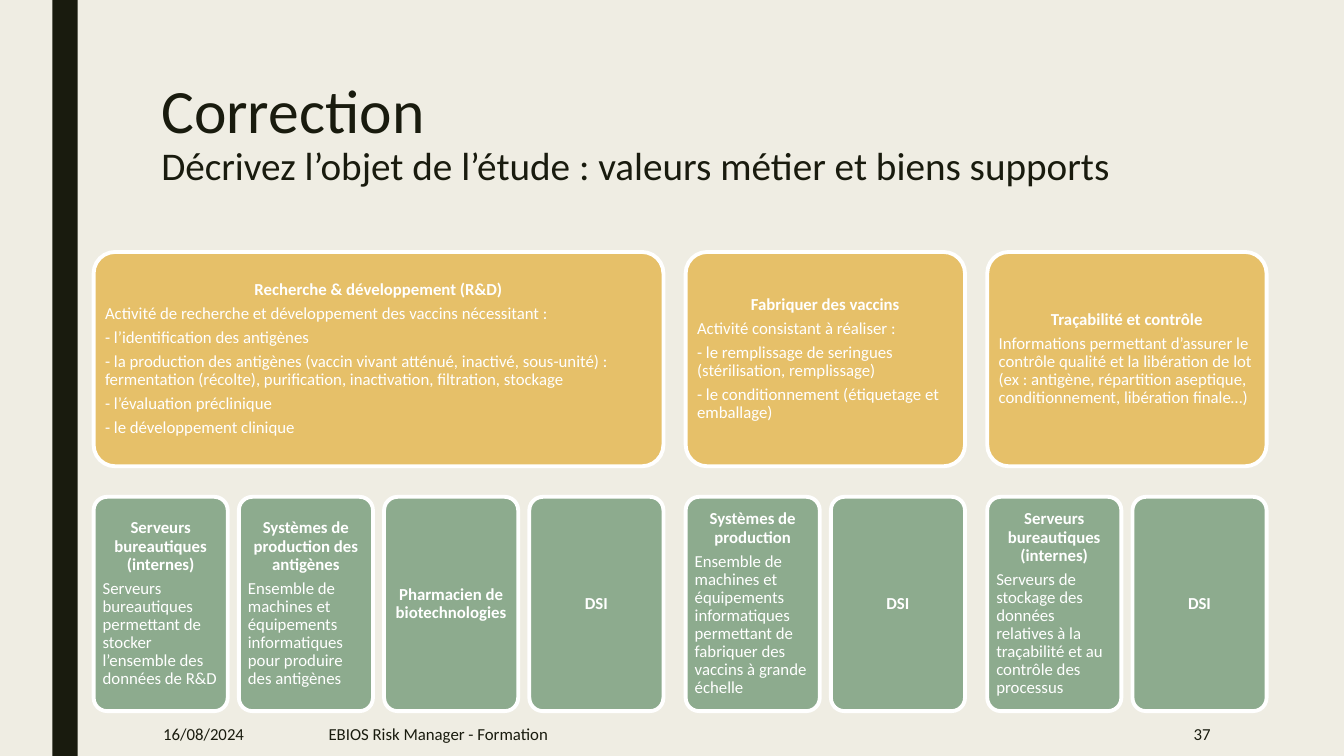
from lxml import etree
from pptx import Presentation
from pptx.dml.color import RGBColor
from pptx.enum import shapes, text
from pptx.oxml.ns import qn
from pptx.util import Cm, Pt

INK = RGBColor(0x19, 0x1B, 0x0E)
PAPER = RGBColor(0xEF, 0xED, 0xE3)
GOLD = RGBColor(0xE6, 0xC0, 0x69)
GREEN = RGBColor(0x8D, 0xAB, 0x8E)
WHITE = RGBColor(0xFF, 0xFF, 0xFF)
LEFT, CENTER, RIGHT = text.PP_ALIGN.LEFT, text.PP_ALIGN.CENTER, text.PP_ALIGN.RIGHT
TOP, MIDDLE = text.MSO_ANCHOR.TOP, text.MSO_ANCHOR.MIDDLE

GRID_LEFT, CARD_W, PITCH, GROUP_GAP = 2.36, 3.38, 3.66, 0.28
VALUE_TOP, ASSET_TOP, CARD_H = 6.35, 12.52, 5.4

DSI = ["DSI"]
GROUPS = [
    (["Recherche & développement (R&D)",
      "Activité de recherche et développement des vaccins nécessitant :",
      "- l’identification des antigènes",
      "- la production des antigènes (vaccin vivant atténué, inactivé, sous-unité) : "
      "fermentation (récolte), purification, inactivation, filtration, stockage",
      "- l’évaluation préclinique",
      "- le développement clinique"],
     [["Serveurs bureautiques (internes)",
       "Serveurs bureautiques permettant de stocker l’ensemble des données de R&D"],
      ["Systèmes de production des antigènes",
       "Ensemble de machines et équipements informatiques pour produire des antigènes"],
      ["Pharmacien de biotechnologies"],
      DSI]),
    (["Fabriquer des vaccins",
      "Activité consistant à réaliser :",
      "- le remplissage de seringues (stérilisation, remplissage)",
      "- le conditionnement (étiquetage et emballage)"],
     [["Systèmes de production",
       "Ensemble de machines et équipements informatiques permettant de fabriquer "
       "des vaccins à grande échelle"],
      DSI]),
    (["Traçabilité et contrôle",
      "Informations permettant d’assurer le contrôle qualité et la libération de lot "
      "(ex : antigène, répartition aseptique, conditionnement, libération finale…)"],
     [["Serveurs bureautiques\n(internes)",
       "Serveurs de stockage des données relatives à la traçabilité et au contrôle "
       "des processus"],
      DSI]),
]
FOOTERS = [
    (3.86, 3.35, "16/08/2024", LEFT),
    (8.03, 17.45, "EBIOS Risk Manager - Formation", LEFT),
    (26.31, 4.45, "37", RIGHT),
]


class Deck:
    font = "Calibri"
    size = 12

    def __init__(self):
        self.prs = Presentation()
        self.prs.slide_width, self.prs.slide_height = Cm(33.87), Cm(19.05)
        self.s = self.prs.slides.add_slide(self.prs.slide_layouts[5])
        self.paint(self.s.background.fill, PAPER)

    def paint(self, fill, color):
        fill.solid()
        fill.fore_color.rgb = color

    def assign(self, target, values):
        for name, value in values.items():
            setattr(target, name, value)

    def style(self, r, color, size, bold=False):
        self.assign(r.font, {"name": self.font, "size": Pt(size), "bold": bold})
        r.font.color.rgb = color

    def paragraph(self, p, words, color, bold=False, **layout):
        p.text = words
        self.assign(p, layout)
        for r in p.runs:
            self.style(r, color, self.size, bold)
        for br in p._p.findall(qn("a:br")):
            etree.SubElement(br, qn("a:rPr"), sz=str(self.size * 100))

    def title(self, left, top, width, height, lines):
        sp = self.s.shapes.title
        self.assign(sp, {"left": Cm(left), "top": Cm(top),
                         "width": Cm(width), "height": Cm(height)})
        tf = sp.text_frame
        self.assign(tf, {"word_wrap": True, "vertical_anchor": TOP,
                         "auto_size": text.MSO_AUTO_SIZE.NONE})
        p = tf.paragraphs[0]
        self.assign(p, {"alignment": LEFT, "line_spacing": 0.89})
        for i, (words, size) in enumerate(lines):
            if i:
                p.add_line_break()
            r = p.add_run()
            r.text = words
            self.style(r, INK, size)

    def shape(self, kind, left, top, width, height, color):
        sp = self.s.shapes.add_shape(kind, Cm(left), Cm(top), Cm(width), Cm(height))
        sp.shadow.inherit = False
        self.paint(sp.fill, color)
        return sp

    def bar(self, left, top, width, height):
        sp = self.shape(shapes.MSO_SHAPE.RECTANGLE, left, top, width, height, INK)
        sp.line.fill.background()

    def card(self, left, top, width, color, paragraphs):
        sp = self.shape(shapes.MSO_SHAPE.ROUNDED_RECTANGLE, left, top, width, CARD_H, color)
        sp.adjustments[0] = 0.1
        sp.line.color.rgb = WHITE
        sp.line.width = Pt(2.75)
        tf = sp.text_frame
        self.assign(tf, {"word_wrap": True, "vertical_anchor": MIDDLE})
        self.assign(tf, {f"margin_{side}": Cm(0.13)
                         for side in ("left", "top", "right", "bottom")})
        for i, words in enumerate(paragraphs):
            p = tf.add_paragraph() if i else tf.paragraphs[0]
            self.paragraph(p, words, WHITE, bold=i == 0, alignment=LEFT if i else CENTER,
                           line_spacing=0.9, space_after=Pt(4.2))

    def footer(self, left, width, words, alignment):
        sp = self.s.shapes.add_textbox(Cm(left), Cm(17.93), Cm(width), Cm(1.12))
        tf = sp.text_frame
        self.assign(tf, {"word_wrap": True, "vertical_anchor": MIDDLE})
        self.paragraph(tf.paragraphs[0], words, INK, alignment=alignment)


def main():
    deck = Deck()
    deck.bar(1.32, 0, 0.64, 19.05)
    deck.title(3.81, 1.91, 26.67, 4.11, [
        ("Correction", 44),
        ("Décrivez l’objet de l’étude : valeurs métier et biens supports", 28),
    ])
    for footer in FOOTERS:
        deck.footer(*footer)
    left = GRID_LEFT
    for value, assets in GROUPS:
        span = len(assets) * PITCH
        deck.card(left, VALUE_TOP, span - PITCH + CARD_W, GOLD, value)
        for i, asset in enumerate(assets):
            deck.card(left + i * PITCH, ASSET_TOP, CARD_W, GREEN, asset)
        left += span + GROUP_GAP
    deck.prs.save("out.pptx")


if __name__ == "__main__":
    main()
